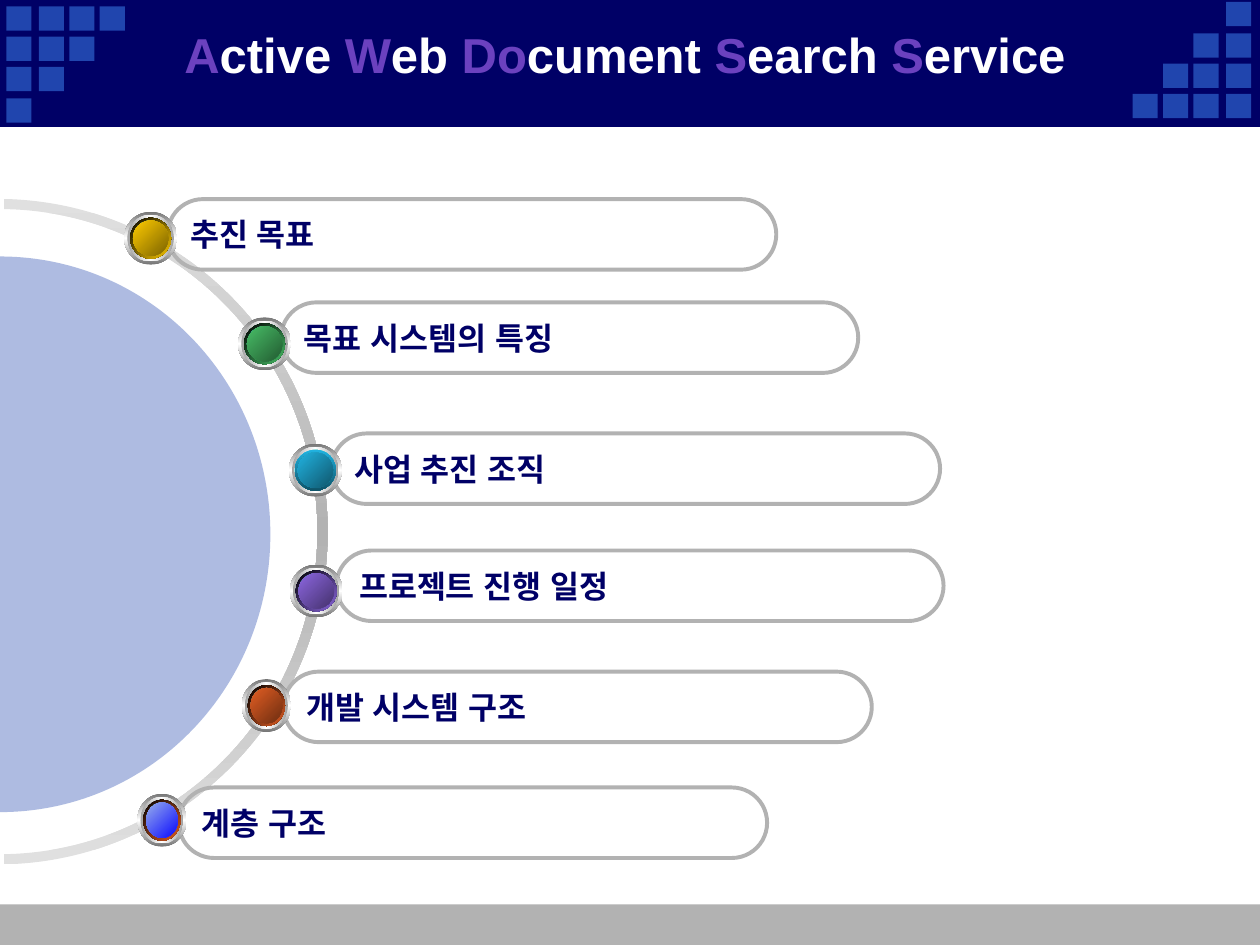
"""Build the agenda slide: a title banner and six topics along a half circle."""
from collections import namedtuple

from lxml.etree import SubElement
from pptx import Presentation
from pptx.dml.color import RGBColor
from pptx.enum.shapes import MSO_SHAPE
from pptx.enum.text import MSO_ANCHOR, PP_ALIGN
from pptx.oxml.ns import qn
from pptx.util import Pt

COLORS = {
    "navy": "000066", "tile": "2045AE", "gray": "B2B2B2", "pale": "E0E0E0",
    "white": "FFFFFF", "black": "000000", "initial": "6B41BF",
    "steel": "767676", "silver": "A2A2A2", "teal": "3DC5C5", "deep teal": "2F9797",
    "gold": "FFCC00", "dark gold": "7C6300", "green": "48BE67", "dark green": "235C32",
    "cyan": "21B3E1", "cyan rim": "0F5368", "dark cyan": "10576D",
    "violet": "8D67E1", "dark violet": "45326D", "orange": "E35E23",
    "dark orange": "6E2E11", "sky": "98AEEC", "blue": "0A0AFF",
}
FONT = "Arial"
TITLE = [("A", "ctive "), ("W", "eb "), ("Do", "cument "), ("S", "earch "), ("S", "ervice")]
TILE_LEFTS = [3.6, 22.2, 39.6, 57]
TILE_TOPS = [3.6, 20.9, 38.2, 56.2]
PILL_HEIGHT = 40.3
ORB_HEIGHT = 30.2
RING_FRAME = (-190.8, 115.9, 380.2, 375.8)
RING_OUTER = [(0, 185), (2, 82.8), (86.4, 0), (190.1, 0)]
RING_INNER = [(5.8, 185), (7.2, 85.7), (89.3, 5.8), (190.1, 5.8)]
DISC_FRAME = (-159.1, 150.5, 317.5, 309.6)
DISC_EDGE = [(0, 154.6), (0, 68.8), (70.9, 0), (158.75, 0)]

Topic = namedtuple("Topic", "label pill orb rim rim_angle face")
TOPICS = [
    Topic("추진 목표", (95.8, 113.8, 347.8), (71, 121, 30.2),
          ("black", "gold"), 45, ("gold", "dark gold")),
    Topic("목표 시스템의 특징", (160.6, 172.8, 329.8), (136.1, 181.4, 30.2),
          ("black", "green"), 45, ("green", "dark green")),
    Topic("사업 추진 조직", (189.4, 247.7, 347.8), (165.1, 253.6, 30.2),
          ("cyan", "cyan rim"), 90, ("cyan", "dark cyan")),
    Topic("프로젝트 진행 일정", (192.2, 314.6, 347), (165.6, 322.6, 30.2),
          ("black", "violet"), 45, ("violet", "dark violet")),
    Topic("개발 시스템 구조", (162, 383.8, 336.2), (138.2, 388.1, 28.1),
          ("black", "orange"), 45, ("orange", "dark orange")),
    Topic("계층 구조", (102.2, 450, 336.2), (78.5, 453.6, 28.1),
          ("black", "orange"), 45, ("sky", "blue")),
]


def rgb(name):
    return RGBColor.from_string(COLORS[name])


def add_plain(shapes, kind, left, top, width, height):
    shape = shapes.add_shape(kind, Pt(left), Pt(top), Pt(width), Pt(height))
    shape.shadow.inherit = False
    shape.line.fill.background()
    return shape


def fill_solid(shape, color):
    shape.fill.solid()
    shape.fill.fore_color.rgb = rgb(color)


def fill_gradient(shape, colors, angle):
    shape.fill.gradient()
    shape.fill.gradient_angle = -angle % 360
    stops = shape.fill._fill._gradFill.find(qn("a:gsLst"))
    for stop in list(stops):
        stops.remove(stop)
    for index, color in enumerate(colors):
        position = 100000 * index // (len(colors) - 1)
        stop = SubElement(stops, qn("a:gs"), pos=str(position))
        SubElement(stop, qn("a:srgbClr"), val=COLORS[color])


def add_block(shapes, left, top, width, height, color):
    block = add_plain(shapes, MSO_SHAPE.RECTANGLE, left, top, width, height)
    fill_solid(block, color)
    return block


def add_tiles(slide):
    left_corner = slide.shapes.add_group_shape().shapes
    right_corner = slide.shapes.add_group_shape().shapes
    for row, top in enumerate(TILE_TOPS):
        for left in TILE_LEFTS[:len(TILE_LEFTS) - row]:
            add_block(left_corner, left, top, 14.4, 13.9, "tile")
            add_block(right_corner, 704.2 - left, 57.3 - top, 14.4, 13.9, "tile")


def arch(left_half, width):
    """Complete the left half of a curved arch with its mirror image."""
    return left_half + [(width - x, y) for x, y in left_half[-2::-1]]


def add_command(outline, name, points):
    command = SubElement(outline, qn(name))
    for x, y in points:
        SubElement(command, qn("a:pt"), x=str(Pt(x)), y=str(Pt(y)))


def add_arched(slide, frame, arches):
    """Draw arches joined end to end, turned to open towards the left."""
    left, top, width, height = frame
    builder = slide.shapes.build_freeform(0, 0)
    corners = [(width, 0), (width, height), (0, height)]
    builder.add_line_segments([(Pt(x), Pt(y)) for x, y in corners])
    shape = builder.convert_to_shape(Pt(left), Pt(top))
    outline = next(shape._element.iter(qn("a:path")))
    for command in list(outline):
        outline.remove(command)
    for index, points in enumerate(arches):
        add_command(outline, "a:lnTo" if index else "a:moveTo", points[:1])
        for start in range(1, len(points), 3):
            add_command(outline, "a:cubicBezTo", points[start:start + 3])
    SubElement(outline, qn("a:close"))
    shape.rotation = 90
    shape.shadow.inherit = False
    shape.line.fill.background()
    return shape


def add_half_circle(slide):
    ring_width, disc_width = RING_FRAME[2], DISC_FRAME[2]
    ring = add_arched(slide, RING_FRAME, [arch(RING_INNER, ring_width),
                                          arch(RING_OUTER, ring_width)[::-1]])
    fill_gradient(ring, ["pale", "gray", "pale"], 0)
    disc = add_arched(slide, DISC_FRAME, [arch(DISC_EDGE, disc_width)])
    fill_solid(disc, "tile")
    tint = disc.fill._fill._solidFill.find(qn("a:srgbClr"))
    SubElement(tint, qn("a:alpha"), val="36000")


def add_pill(slide, topic):
    pill = add_plain(slide.shapes, MSO_SHAPE.ROUNDED_RECTANGLE, *topic.pill, PILL_HEIGHT)
    pill.adjustments[0] = 0.5
    pill.fill.background()
    pill.line.color.rgb = rgb("gray")
    pill.line.width = Pt(2.25)
    frame = pill.text_frame
    frame.word_wrap = True
    frame.vertical_anchor = MSO_ANCHOR.MIDDLE
    label = frame.paragraphs[0]
    label.text = topic.label
    label.alignment = PP_ALIGN.LEFT
    label.font.color.rgb = rgb("navy")
    set_font(label.font, 18)


def add_orb(slide, topic):
    left, top, width = topic.orb
    layers = [
        (0, ("steel", "white", "steel"), 90),
        (1.8, ("silver", "white", "silver"), 0),
        (3.4, ("white", "teal", "white"), 45),
        (3.4, topic.rim, topic.rim_angle),
        (5, ("deep teal", "teal", "deep teal"), 315),
        (5, topic.face, 45),
    ]
    orb = slide.shapes.add_group_shape().shapes
    for inset, colors, angle in layers:
        disc = add_plain(orb, MSO_SHAPE.OVAL, left + inset, top + inset,
                         width - 2 * inset, ORB_HEIGHT - 2 * inset)
        fill_gradient(disc, colors, angle)


def set_font(font, size):
    font.name = FONT
    font.size = Pt(size)
    font.bold = True
    SubElement(font._element, qn("a:ea"), typeface=FONT)


def add_title(slide):
    box = slide.shapes.add_textbox(Pt(66.2), Pt(25.2), Pt(581.8), Pt(44.6))
    frame = box.text_frame
    frame.word_wrap = True
    frame.vertical_anchor = MSO_ANCHOR.MIDDLE
    title = frame.paragraphs[0]
    title.alignment = PP_ALIGN.CENTER
    set_font(title.font, 28)
    for initial, rest in TITLE:
        for text, color in ((initial, "initial"), (rest, "white")):
            run = title.add_run()
            run.text = text
            run.font.color.rgb = rgb(color)
    title.add_line_break()


def main():
    deck = Presentation()
    deck.slide_width, deck.slide_height = Pt(720), Pt(540)
    slide = deck.slides.add_slide(deck.slide_layouts[6])
    add_block(slide.shapes, 0, 516.8, 720, 23.2, "gray")
    banner = add_block(slide.shapes, 0, 0, 720, 72, "navy")
    banner.line.color.rgb = rgb("navy")
    banner.line.width = Pt(0.75)
    add_tiles(slide)
    add_half_circle(slide)
    for topic in TOPICS:
        add_pill(slide, topic)
        add_orb(slide, topic)
    add_title(slide)
    deck.save("out.pptx")


if __name__ == "__main__":
    main()
